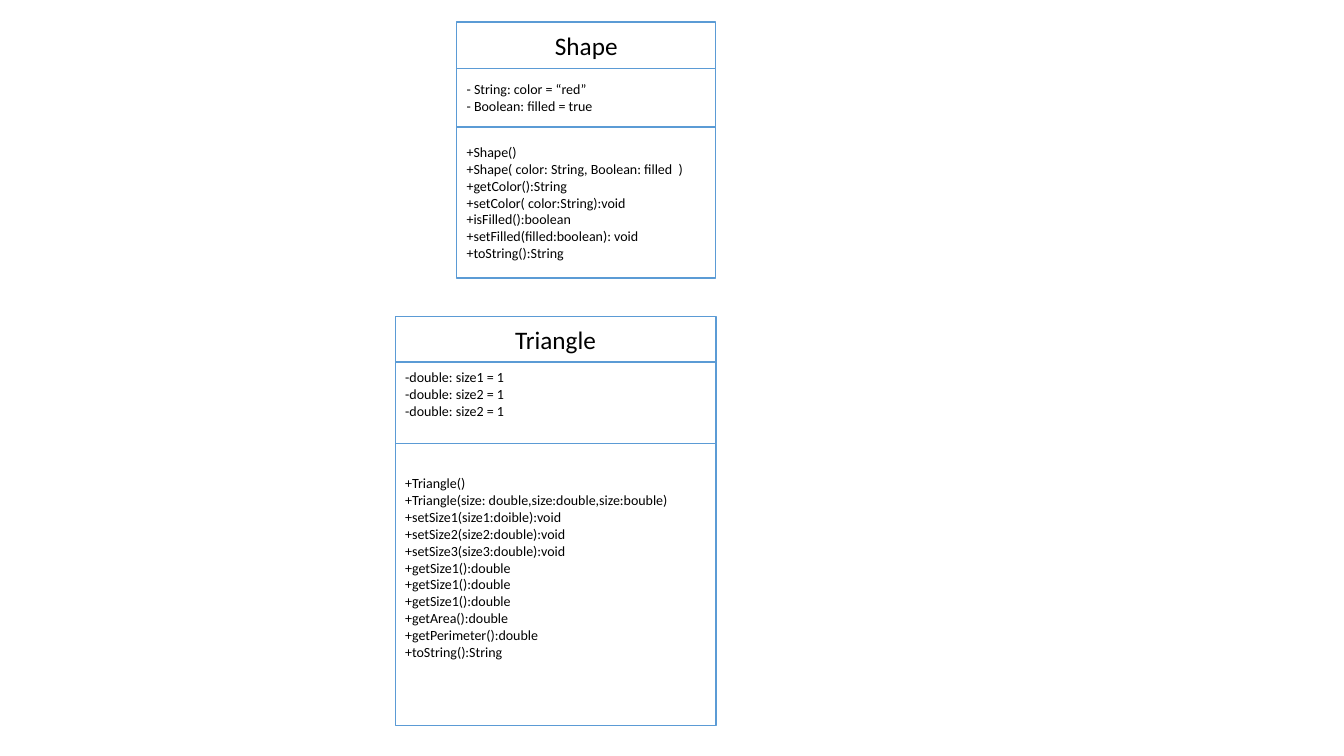
from pptx import Presentation
from pptx.dml.color import RGBColor
from pptx.enum.shapes import MSO_SHAPE as Preset
from pptx.enum.text import MSO_ANCHOR as Anchor, PP_ALIGN as Align
from pptx.util import Inches, Pt

COLORS = {"fill": "FFFFFF", "line": "5B9BD5", "text": "000000"}


class ClassDiagram:
    """Holds the style and the slide the class boxes are drawn on."""

    font = "Calibri"
    title_size = 18
    member_size = 10

    def __init__(self, slide):
        """Keep the current slide."""
        self.slide = slide

    def color(self, name):
        """Return a named colour."""
        return RGBColor.from_string(COLORS[name])

    def box(self, left, top, width, height, lines, size, align, lift=0):
        """Draw one compartment; lift widens the bottom margin."""
        shape = self.slide.shapes.add_shape(
            Preset.RECTANGLE, Inches(left), Inches(top), Inches(width), Inches(height))
        shape.shadow.inherit = False
        shape.fill.solid()
        shape.fill.fore_color.rgb = self.color("fill")
        shape.line.color.rgb = self.color("line")
        shape.line.width = Pt(1)
        text_frame = shape.text_frame
        text_frame.word_wrap = True
        text_frame.vertical_anchor = Anchor.MIDDLE
        text_frame.margin_bottom = Inches(0.05 + lift)
        text_frame.text = "\n".join(lines)
        for paragraph in text_frame.paragraphs:
            paragraph.alignment = align
            for run in paragraph.runs:
                run.font.name = self.font
                run.font.size = Pt(size)
                run.font.color.rgb = self.color("text")

    def class_box(self, left, top, width, title, title_height, compartments):
        """Stack a title and its (height, lift, lines) compartments."""
        self.box(left, top, width, title_height, [title], self.title_size, Align.CENTER)
        top += title_height
        for height, lift, lines in compartments:
            self.box(left, top, width, height, lines, self.member_size, Align.LEFT, lift)
            top += height


SHAPE_FIELDS = ["- String: color = “red”", "- Boolean: filled = true"]
SHAPE_METHODS = [
    "+Shape()",
    "+Shape( color: String, Boolean: filled  )",
    "+getColor():String",
    "+setColor( color:String):void",
    "+isFilled():boolean",
    "+setFilled(filled:boolean): void",
    "+toString():String",
]
TRIANGLE_FIELDS = ["-double: size1 = 1", "-double: size2 = 1", "-double: size2 = 1"]
TRIANGLE_METHODS = [
    "+Triangle()",
    "+Triangle(size: double,size:double,size:bouble)",
    "+setSize1(size1:doible):void",
    "+setSize2(size2:double):void",
    "+setSize3(size3:double):void",
    "+getSize1():double",
    "+getSize1():double",
    "+getSize1():double",
    "+getArea():double",
    "+getPerimeter():double",
    "+toString():String",
]

presentation = Presentation()
presentation.slide_width = Inches(13.33)
presentation.slide_height = Inches(7.5)
diagram = ClassDiagram(presentation.slides.add_slide(presentation.slide_layouts[6]))

diagram.class_box(4.53, 0.22, 2.57, "Shape", 0.46,
                  [(0.58, 0, SHAPE_FIELDS), (1.5, 0, SHAPE_METHODS)])
diagram.class_box(3.92, 3.14, 3.18, "Triangle", 0.45,
                  [(0.81, 0.17, TRIANGLE_FIELDS), (2.8, 0.34, TRIANGLE_METHODS)])

presentation.save("out.pptx")
